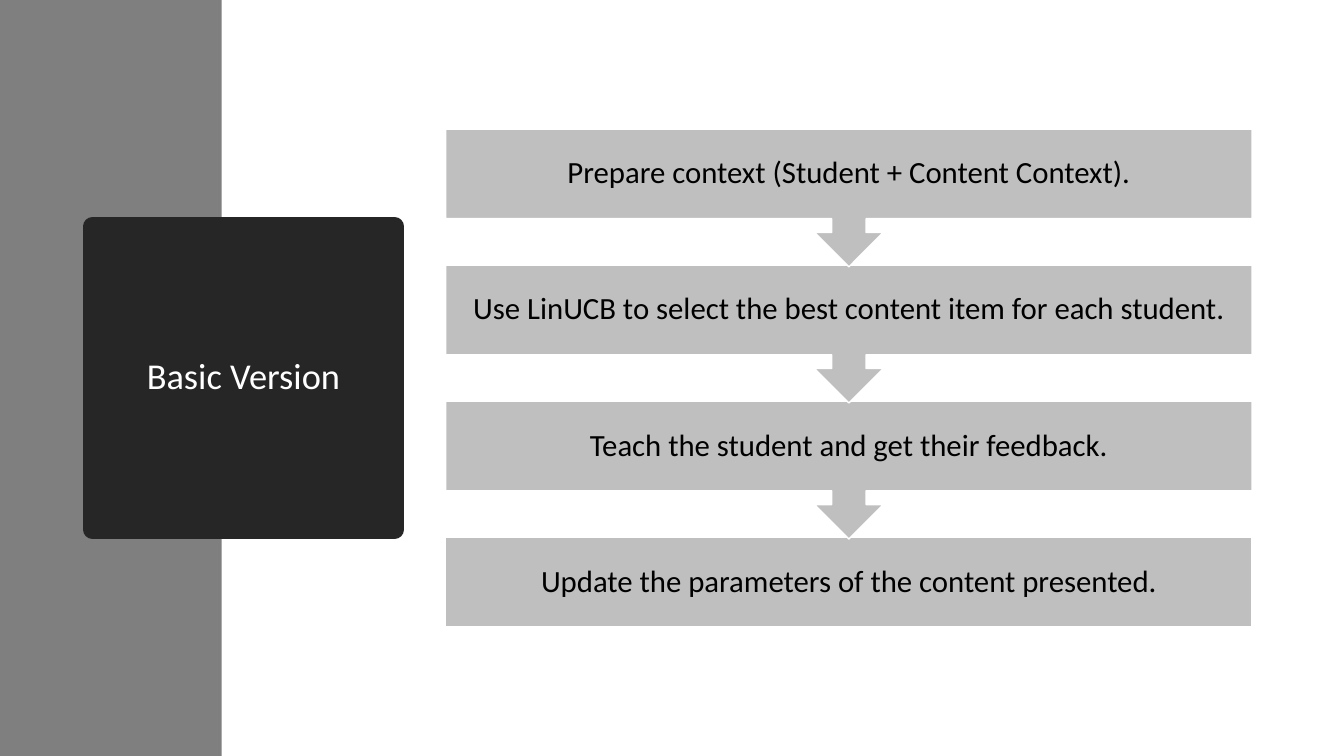
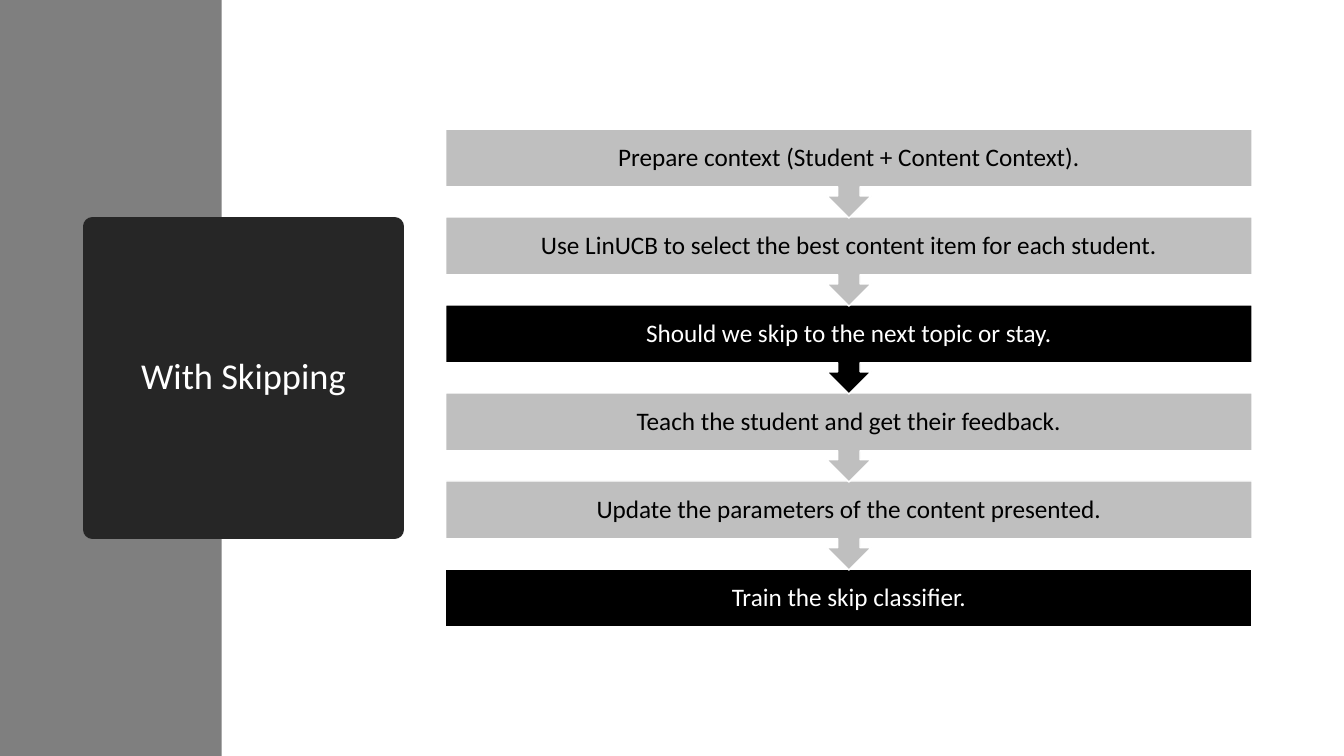
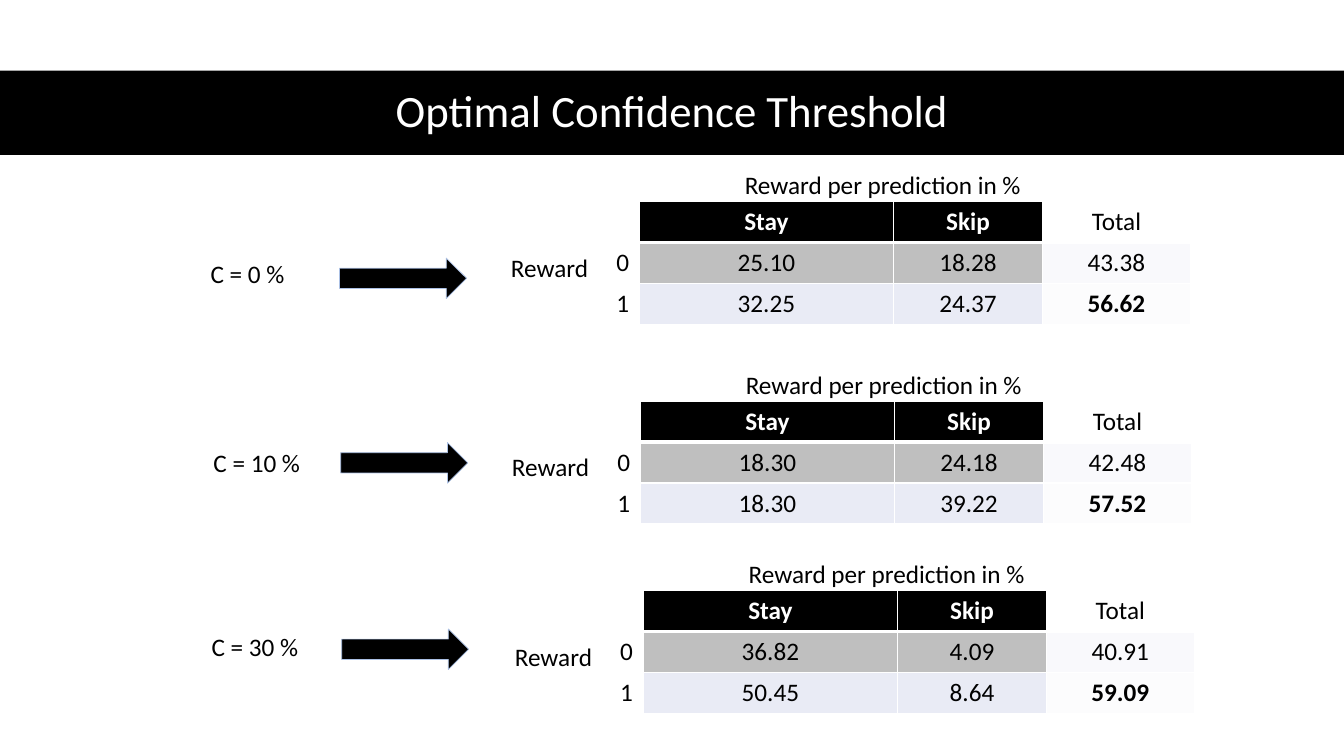
from dataclasses import dataclass

from lxml.etree import SubElement
from pptx import Presentation
from pptx.dml.color import RGBColor as Color
from pptx.enum.shapes import MSO_SHAPE as Shape
from pptx.enum.text import MSO_ANCHOR as Anchor, MSO_AUTO_SIZE as AutoSize, PP_ALIGN as Align
from pptx.oxml.ns import qn
from pptx.util import Pt

FLOWS = [
    ("Basic Version", 22, 12.2, [
        ("Prepare context (Student + Content Context).", False),
        ("Use LinUCB to select the best content item for each student.", False),
        ("Teach the student and get their feedback.", False),
        ("Update the parameters of the content presented.", False),
    ]),
    ("With Skipping", 18, 10, [
        ("Prepare context (Student + Content Context).", False),
        ("Use LinUCB to select the best content item for each student.", False),
        ("Should we skip to the next topic or stay.", True),
        ("Teach the student and get their feedback.", False),
        ("Update the parameters of the content presented.", False),
        ("Train the skip classifier.", True),
    ]),
]

THRESHOLD_TITLE = "Optimal Confidence Threshold"
ROW_LABEL = "Reward"
CAPTION = "Reward per prediction in %"
HEADER = ("", "Stay", "Skip", "Total")
THRESHOLDS = [
    {"label": "C = 0 %", "label_at": (143.3, 180.7), "arrow_at": (242.6, 184.3), "table_at": (426.3, 144),
     "rows": [("0", "25.10", "18.28", "43.38"), ("1", "32.25", "24.37", "56.62")]},
    {"label": "C = 10 %", "label_at": (145.4, 316.1), "arrow_at": (243.4, 316.1), "table_at": (427, 286.6),
     "rows": [("0", "18.30", "24.18", "42.48"), ("1", "18.30", "39.22", "57.52")]},
    {"label": "C = 30 %", "label_at": (144, 447.1), "arrow_at": (244.1, 449.3), "table_at": (429.1, 421.9),
     "rows": [("0", "36.82", "4.09", "40.91"), ("1", "50.45", "8.64", "59.09")]},
]


@dataclass(frozen=True)
class Theme:
    font: str = "Calibri"
    black: str = "000000"
    white: str = "FFFFFF"
    panel: str = "7F7F7F"
    badge: str = "262626"
    step: str = "BFBFBF"
    band: str = "E9EBF5"
    total: str = "CFD5EA"
    arrow_line: str = "ABC0E4"
    badge_size: int = 26
    title_size: int = 32
    body_size: int = 18


THEME = Theme()
SLIDE_WIDTH, SLIDE_HEIGHT = 960, 540
FLOW_LEFT, FLOW_TOP, FLOW_WIDTH, FLOW_HEIGHT = 318.4, 92.2, 576, 355.6
BOX_SHARE = 0.65
PITCH_RATIO = 1.52
COLUMNS = (30.2, 182, 106, 106)
ROW_HEIGHT = 29.2


def rgb(value):
    return Color.from_string(value)


def place(box, *frame):
    for name, value in zip(("left", "top", "width", "height"), frame):
        setattr(box, name, Pt(value))


def paint(box, fill, line=None, weight=1):
    box.fill.solid()
    box.fill.fore_color.rgb = rgb(fill)
    if line:
        box.line.color.rgb = rgb(line)
        box.line.width = Pt(weight)
    else:
        box.line.fill.background()


def write(frame, text, size, color, align=Align.LEFT, bold=False, spacing=1.0):
    para = frame.paragraphs[0]
    for name, value in {"alignment": align, "line_spacing": spacing}.items():
        setattr(para, name, value)
    span = para.add_run()
    span.text = text
    for name, value in {"name": THEME.font, "size": Pt(size), "bold": bold}.items():
        setattr(span.font, name, value)
    span.font.color.rgb = rgb(color)


def add_shape(page, kind, frame, fill, line=None, weight=1):
    box = page.shapes.add_shape(kind, *map(Pt, frame))
    box.shadow.inherit = False
    paint(box, fill, line, weight)
    return box


def add_label(page, text, *frame):
    box = page.shapes.add_textbox(*map(Pt, frame))
    box.text_frame.word_wrap = True
    write(box.text_frame, text, THEME.body_size, THEME.black)


def add_page(deck, title, size, frame, fill, line=None, weight=1):
    page = deck.slides.add_slide(deck.slide_layouts[5])
    box = page.shapes.title
    place(box, *frame)
    paint(box, fill, line, weight)
    if line:
        SubElement(box.line._get_or_add_ln(), qn("a:round"))
    for name, value in {"auto_size": AutoSize.NONE, "vertical_anchor": Anchor.MIDDLE, "word_wrap": True}.items():
        setattr(box.text_frame, name, value)
    write(box.text_frame, title, size, THEME.white, Align.CENTER, spacing=0.9)
    return page


def add_flow(deck, title, size, inset, steps):
    page = add_page(deck, title, THEME.badge_size, (66, 162, 216, 216), THEME.badge, THEME.badge, 13.75)
    panel = add_shape(page, Shape.RECTANGLE, (0, 0, 158.4, SLIDE_HEIGHT), THEME.panel)
    page.shapes.title._element.addprevious(panel._element)

    last = len(steps) - 1
    box_height = FLOW_HEIGHT / (1 + PITCH_RATIO * last)
    for index, (text, accent) in reversed(list(enumerate(steps))):
        kind, height = Shape.DOWN_ARROW_CALLOUT, box_height / BOX_SHARE
        if index == last:
            kind, height = Shape.RECTANGLE, box_height
        top = FLOW_TOP + index * PITCH_RATIO * box_height
        fill, color = (THEME.black, THEME.white) if accent else (THEME.step, THEME.black)
        box = add_shape(page, kind, (FLOW_LEFT, top, FLOW_WIDTH, height), fill, THEME.white)
        if index < last:
            for number, value in enumerate((0.25, 0.25, 0.25, BOX_SHARE)):
                box.adjustments[number] = value
        frame = box.text_frame
        for side in ("left", "top", "right", "bottom"):
            setattr(frame, f"margin_{side}", Pt(inset))
        for name, value in {"word_wrap": True, "vertical_anchor": Anchor.MIDDLE}.items():
            setattr(frame, name, value)
        write(frame, text, size, color, Align.CENTER, spacing=0.9)


def add_borders(cell, bottom):
    props = cell._tc.get_or_add_tcPr()
    for side, weight in {"L": 1, "R": 1, "T": 1, "B": bottom}.items():
        line = SubElement(props, qn(f"a:ln{side}"), w=str(Pt(weight)))
        SubElement(SubElement(line, qn("a:solidFill")), qn("a:srgbClr"), val=THEME.white)


def fill_cell(cell, color, alpha=None):
    if color is None:
        cell.fill.background()
        return
    cell.fill.solid()
    cell.fill.fore_color.rgb = rgb(color)
    if alpha:
        shade = cell._tc.tcPr.find(qn("a:solidFill"))[0]
        SubElement(shade, qn("a:alpha"), val=str(alpha * 1000))


def add_rewards(page, rows, left, top):
    lines = [HEADER, *rows]
    grid = page.shapes.add_table(len(lines), len(COLUMNS), Pt(left), Pt(top),
                                 Pt(sum(COLUMNS)), Pt(ROW_HEIGHT * len(lines))).table
    grid.first_row = grid.horz_banding = False
    for column, width in zip(grid.columns, COLUMNS):
        column.width = Pt(width)
    fills = (
        (None, THEME.black, THEME.black, None),
        (None, THEME.step, THEME.step, THEME.total),
        (None, THEME.band, THEME.band, THEME.band),
    )
    for r, values in enumerate(lines):
        grid.rows[r].height = Pt(ROW_HEIGHT)
        for c, text in enumerate(values):
            cell = grid.cell(r, c)
            heading, is_total = r == 0 and c in (1, 2), c == 3
            add_borders(cell, 3 if r == 0 else 1)
            fill_cell(cell, fills[r][c], 12 if is_total else None)
            if text:
                write(cell.text_frame, text, THEME.body_size,
                      THEME.white if heading else THEME.black,
                      Align.RIGHT if c == 0 else Align.CENTER,
                      heading or (is_total and r == 2))


def add_thresholds(deck):
    page = add_page(deck, THRESHOLD_TITLE, THEME.title_size, (0, 50.4, SLIDE_WIDTH, 60.2), THEME.black)
    for group in THRESHOLDS:
        left, top = group["table_at"]
        add_rewards(page, group["rows"], left, top)
        add_label(page, ROW_LABEL, left - 68.4, top + 32.4, 90.7, 29)
        add_label(page, CAPTION, left + 98.6, top - 26.6, 221.8, 29)
        add_label(page, group["label"], *group["label_at"], 90, 29)
        add_shape(page, Shape.RIGHT_ARROW, (*group["arrow_at"], 90.7, 29), THEME.black, THEME.arrow_line, 0.5)


def main():
    deck = Presentation()
    deck.slide_width, deck.slide_height = Pt(SLIDE_WIDTH), Pt(SLIDE_HEIGHT)
    for flow in FLOWS:
        add_flow(deck, *flow)
    add_thresholds(deck)
    deck.save("out.pptx")


if __name__ == "__main__":
    main()
